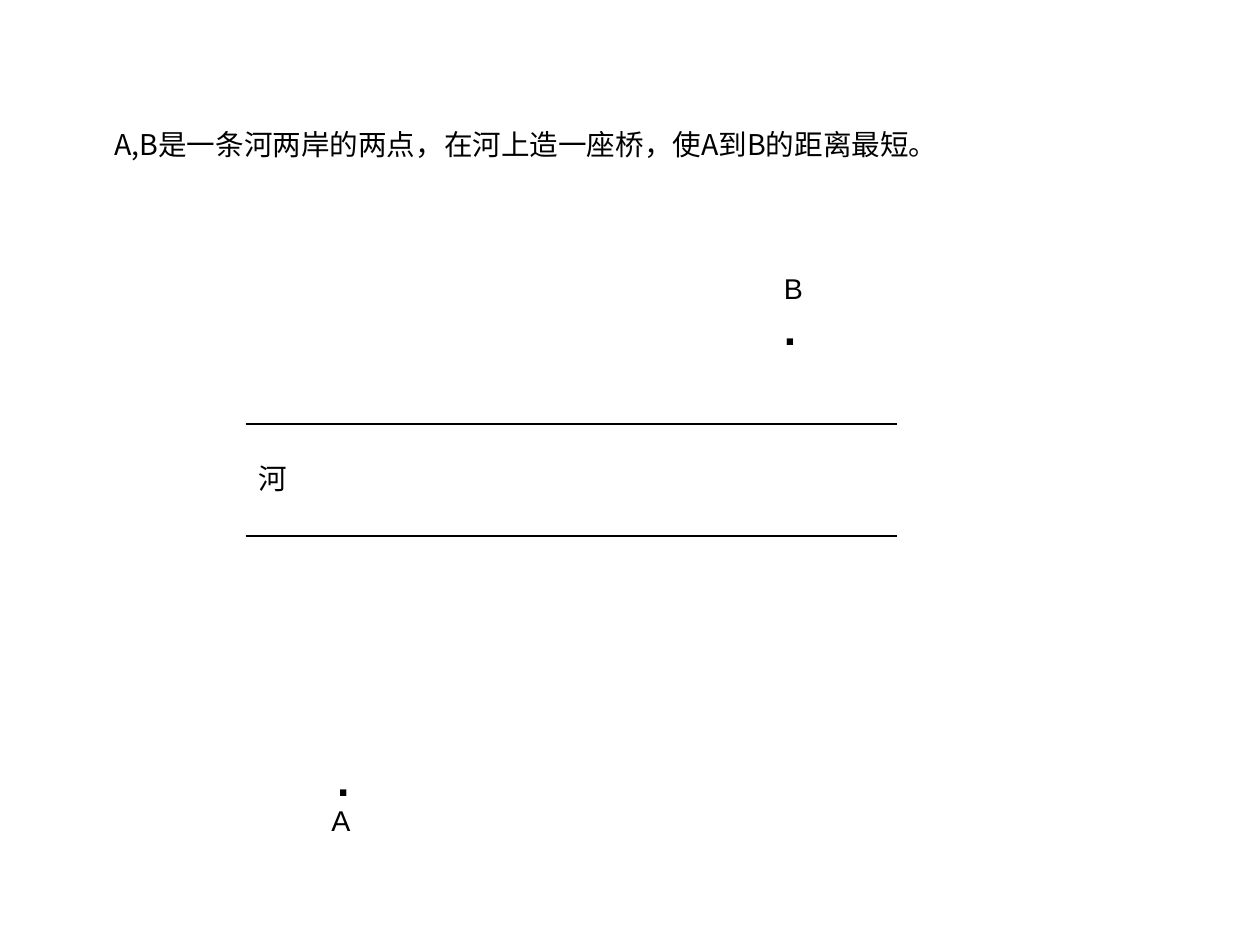
from dataclasses import dataclass

import lxml.etree
import pptx
import pptx.dml.color
import pptx.enum.shapes
import pptx.enum.text
import pptx.oxml.ns
import pptx.util

Inches = pptx.util.Inches
COLORS = {"ink": "000000", "paper": "FFFFFF"}
LATIN, CHINESE = "Arial", "Noto Sans CJK SC"


@dataclass
class Line:
    text: str
    size: int = 18
    bold: bool = False
    indent: float = 0


@dataclass
class Point:
    left: float
    top: float
    lines: list[Line]


def rgb(name: str) -> pptx.dml.color.RGBColor:
    return pptx.dml.color.RGBColor.from_string(COLORS[name])


def write_line(paragraph, text: str, *, font: str, size: int = 18,
               bold: bool = False, indent: float = 0) -> None:
    paragraph.alignment = pptx.enum.text.PP_ALIGN.LEFT
    paragraph.line_spacing = 0.93
    if indent:
        paragraph._p.get_or_add_pPr().set("marL", str(Inches(indent)))
    run = paragraph.add_run()
    run.text = text
    run.font.size = pptx.util.Pt(size)
    run.font.bold = bold
    run.font.color.rgb = rgb("ink")
    run.font.name = font
    east_asian = lxml.etree.SubElement(run.font._element, pptx.oxml.ns.qn("a:ea"))
    east_asian.set("typeface", font)


def fill_box(box, lines: list[Line], *, font: str,
             margin_left: float = 0.1, margin_right: float = 0) -> None:
    frame = box.text_frame
    frame.word_wrap = True
    frame.auto_size = pptx.enum.text.MSO_AUTO_SIZE.NONE
    frame.vertical_anchor = pptx.enum.text.MSO_ANCHOR.TOP
    frame.margin_left, frame.margin_right = Inches(margin_left), Inches(margin_right)
    frame.margin_top = frame.margin_bottom = Inches(0.05)
    for index, line in enumerate(lines):
        paragraph = frame.add_paragraph() if index else frame.paragraphs[0]
        write_line(paragraph, line.text, font=font, size=line.size,
                   bold=line.bold, indent=line.indent)


def draw_bank(slide, y: float) -> None:
    bank = slide.shapes.add_connector(
        pptx.enum.shapes.MSO_CONNECTOR.STRAIGHT,
        Inches(2.15), Inches(y), Inches(7.85), Inches(y))
    bank.line.color.rgb = rgb("ink")
    bank.line.width = pptx.util.Pt(0.75)
    lxml.etree.SubElement(bank._element.spPr, pptx.oxml.ns.qn("a:effectLst"))


def draw_point(slide, point: Point) -> None:
    box = slide.shapes.add_textbox(
        Inches(point.left), Inches(point.top), Inches(0.43), Inches(0.81))
    fill_box(box, point.lines, font=LATIN, margin_left=0.16)


def main() -> None:
    presentation = pptx.Presentation()
    presentation.slide_width = pptx.util.Emu(10080625)
    presentation.slide_height = pptx.util.Emu(7559675)
    slide = presentation.slides.add_slide(presentation.slide_layouts[5])
    slide.background.fill.solid()
    slide.background.fill.fore_color.rgb = rgb("paper")

    # Problem statement
    problem = slide.shapes.title
    problem.left, problem.top = Inches(0.9), Inches(1.09)
    problem.width, problem.height = Inches(7.72), Inches(0.38)
    fill_box(problem, [Line("A,B是一条河两岸的两点，在河上造一座桥，使A到B的距离最短。")],
             font=CHINESE)

    # River banks
    for bank_y in (3.71, 4.69):
        draw_bank(slide, bank_y)

    # Points on either side of the river
    for point in (
        Point(6.7, 2.35, [Line("B"), Line(".", 28, True)]),
        Point(2.74, 6.57, [Line(".", 28, True, 0.05), Line("A")]),
    ):
        draw_point(slide, point)

    # River label
    river = slide.shapes.add_textbox(Inches(2.16), Inches(4.01), Inches(0.45), Inches(0.38))
    fill_box(river, [Line("河")], font=CHINESE)

    presentation.save("out.pptx")


if __name__ == "__main__":
    main()
